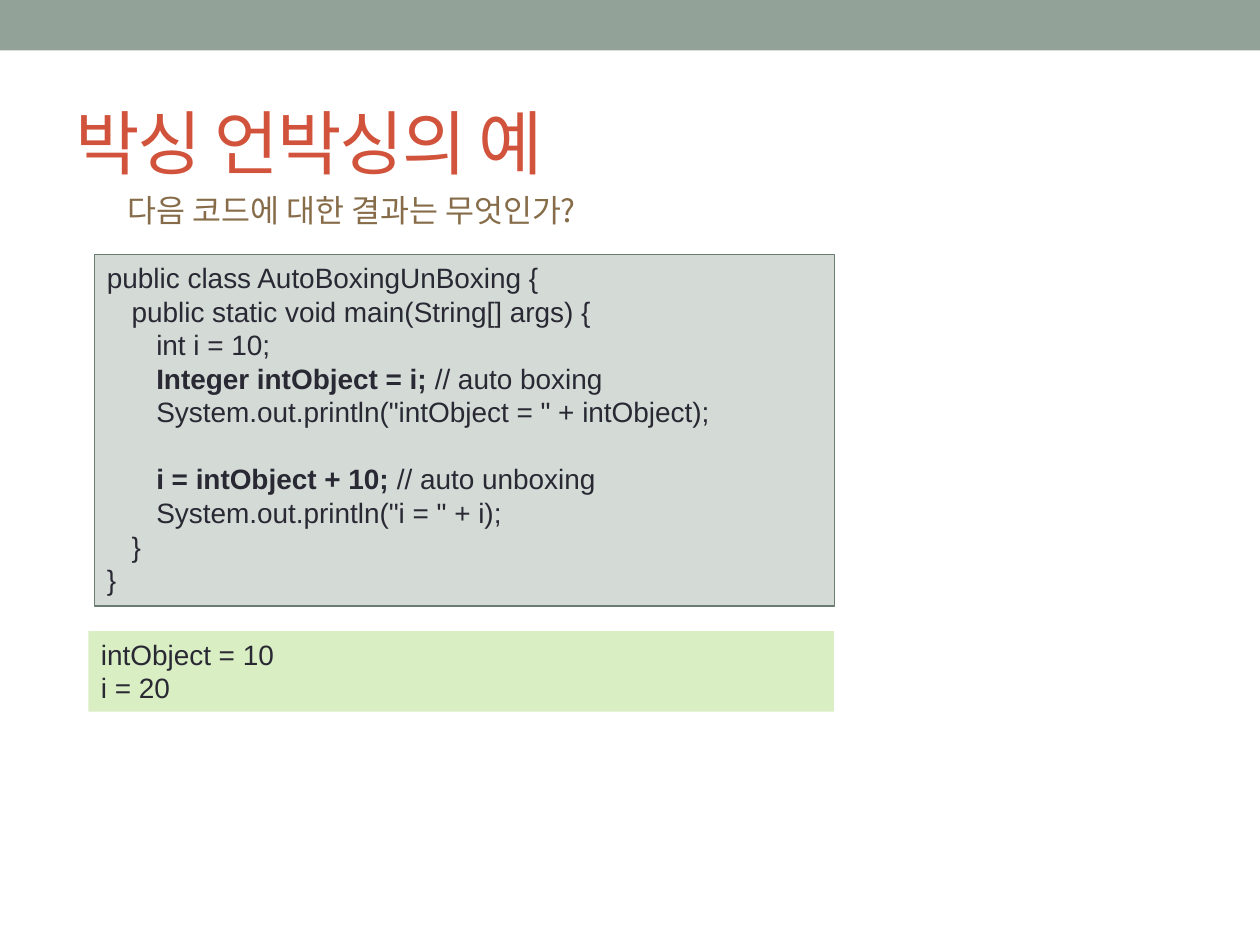
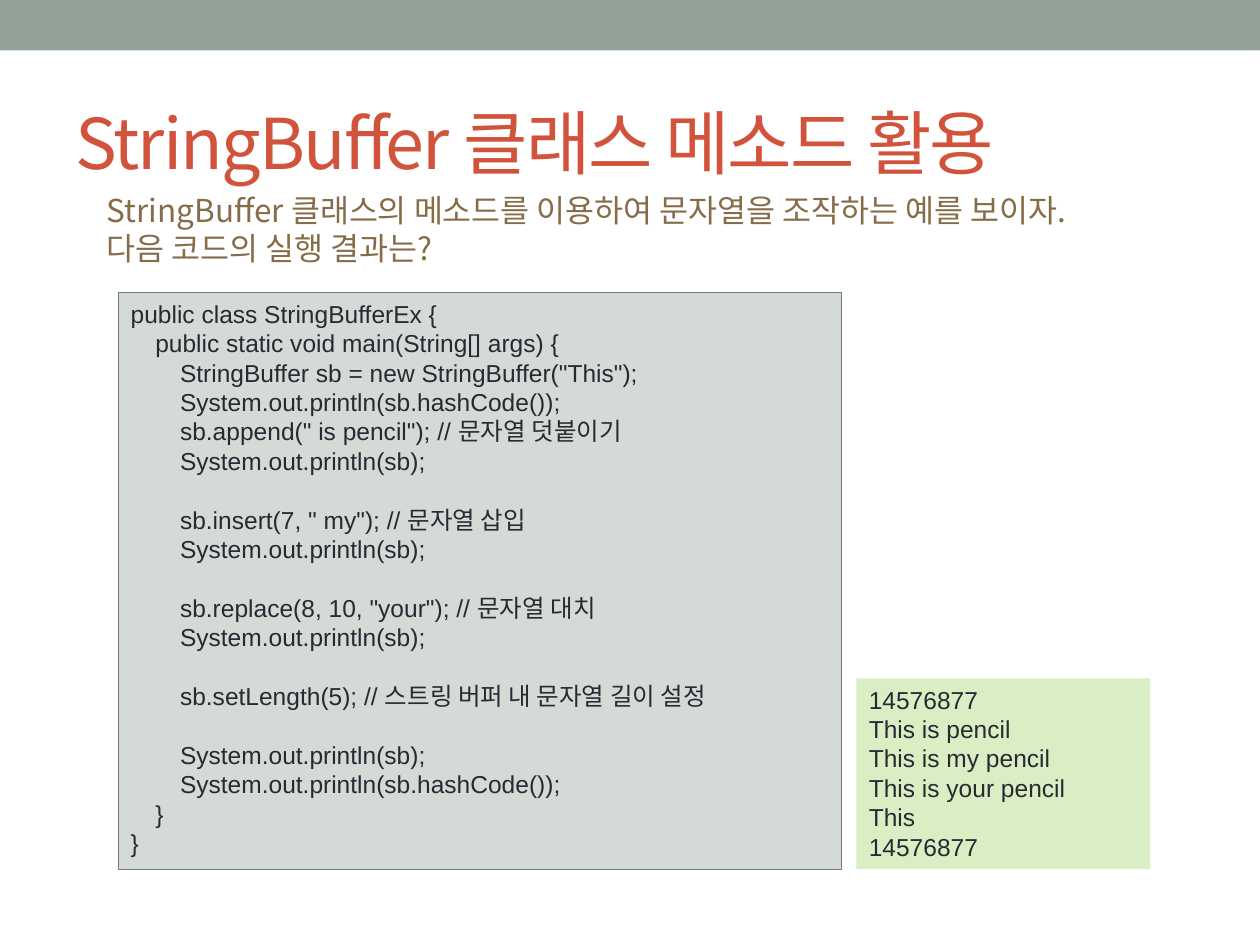
from dataclasses import dataclass

from lxml.etree import SubElement
from pptx import Presentation
from pptx.dml.color import RGBColor
from pptx.enum.shapes import MSO_SHAPE
from pptx.enum.text import MSO_ANCHOR, PP_ALIGN
from pptx.oxml.ns import qn
from pptx.shapes.autoshape import Shape
from pptx.slide import Slide
from pptx.util import Pt


@dataclass(frozen=True)
class Theme:
    band: str = "93A299"
    title: str = "D2533C"
    question: str = "866C49"
    ink: str = "292934"
    code_fill: str = "D4DAD6"
    code_line: str = "6B7D72"
    output_fill: str = "DAEEC4"
    latin: str = "Arial"
    korean: str = "Noto Sans CJK KR"
    title_size: int = 40
    question_size: int = 18
    leading: float = 1.2
    code_indent: float = 14.1


THEME = Theme()


@dataclass(frozen=True)
class Box:
    left: float
    top: float
    width: float
    height: float


@dataclass(frozen=True)
class TextStyle:
    font: str
    size: int
    color: str
    leading: float | None = THEME.leading
    tracking: int = 0


@dataclass(frozen=True)
class Line:
    text: str
    level: int = 0
    bold: str = ""
    gap: bool = False


@dataclass(frozen=True)
class Panel:
    box: Box
    fill: str
    lines: list[Line]
    border: str | None = None


@dataclass(frozen=True)
class Example:
    title: str
    question_box: Box
    question: list[Line]
    code_size: int
    panels: list[Panel]


BAND_BOX = Box(0, 0, 720, 28.8)
TITLE_BOX = Box(36, 41.8, 648, 77.8)
TITLE_STYLE = TextStyle(THEME.korean, THEME.title_size, THEME.title, None, -100)
QUESTION_STYLE = TextStyle(THEME.korean, THEME.question_size, THEME.question)

EXAMPLES = [
    Example(
        "박싱 언박싱의 예",
        Box(65.5, 105.8, 301, 28.8),
        [Line("다음 코드에 대한 결과는 무엇인가?")],
        16,
        [
            Panel(Box(54, 145.3, 422.8, 201), THEME.code_fill, [
                Line("public class AutoBoxingUnBoxing {"),
                Line("public static void main(String[] args) {", 1),
                Line("int i = 10;", 2),
                Line("// auto boxing", 2, bold="Integer intObject = i; "),
                Line('System.out.println("intObject = " + intObject);', 2),
                Line("// auto unboxing", 2, bold="i = intObject + 10; ", gap=True),
                Line('System.out.println("i = " + i);', 2),
                Line("}", 1),
                Line("}"),
            ], THEME.code_line),
            Panel(Box(50.6, 360.6, 426, 46), THEME.output_fill, [
                Line("intObject = 10"),
                Line("i = 20"),
            ]),
        ],
    ),
    Example(
        "StringBuffer 클래스 메소드 활용",
        Box(54, 105.8, 603.4, 51),
        [
            Line("StringBuffer 클래스의 메소드를 이용하여 문자열을 조작하는 예를 보이자."),
            Line("다음 코드의 실행 결과는?"),
        ],
        14,
        [
            Panel(Box(67.6, 167.2, 413.4, 329.6), THEME.code_fill, [
                Line("public class StringBufferEx {"),
                Line("public static void main(String[] args) {", 1),
                Line('StringBuffer sb = new StringBuffer("This");', 2),
                Line("System.out.println(sb.hashCode());", 2),
                Line('sb.append(" is pencil"); // 문자열 덧붙이기', 2),
                Line("System.out.println(sb);", 2),
                Line('sb.insert(7, " my"); // 문자열 삽입', 2, gap=True),
                Line("System.out.println(sb);", 2),
                Line('sb.replace(8, 10, "your"); // 문자열 대치', 2, gap=True),
                Line("System.out.println(sb);", 2),
                Line("sb.setLength(5); // 스트링 버퍼 내 문자열 길이 설정", 2, gap=True),
                Line("System.out.println(sb);", 2, gap=True),
                Line("System.out.println(sb.hashCode());", 2),
                Line("}", 1),
                Line("}"),
            ], THEME.code_line),
            Panel(Box(489.4, 387.6, 167.8, 109), THEME.output_fill, [
                Line("14576877"),
                Line("This is pencil"),
                Line("This is my pencil"),
                Line("This is your pencil"),
                Line("This"),
                Line("14576877"),
            ]),
        ],
    ),
]


def apply_format(target: object, values: dict[str, object]) -> None:
    for name, value in values.items():
        setattr(target, name, value)


def lengths(box: Box) -> tuple[Pt, Pt, Pt, Pt]:
    return Pt(box.left), Pt(box.top), Pt(box.width), Pt(box.height)


def add_run(paragraph, text: str, style: TextStyle, bold: bool = False) -> None:
    run = paragraph.add_run()
    run.text = text
    apply_format(run.font, {"name": style.font, "size": Pt(style.size), "bold": bold})
    run.font.color.rgb = RGBColor.from_string(style.color)
    properties = run._r.get_or_add_rPr()
    SubElement(properties, qn("a:ea")).set("typeface", THEME.korean)
    if style.tracking:
        properties.set("spc", str(style.tracking))


def write_lines(shape: Shape, lines: list[Line], style: TextStyle,
                anchor: MSO_ANCHOR = MSO_ANCHOR.TOP) -> None:
    frame = shape.text_frame
    apply_format(frame, {"word_wrap": True, "vertical_anchor": anchor})
    for index, line in enumerate(lines):
        paragraph = frame.add_paragraph() if index else frame.paragraphs[0]
        paragraph.alignment = PP_ALIGN.LEFT
        if style.leading:
            line_height = Pt(style.size * style.leading)
            apply_format(paragraph, {
                "line_spacing": line_height,
                "space_before": line_height if line.gap else Pt(0),
            })
        if line.level:
            indent = Pt(line.level * THEME.code_indent)
            paragraph._p.get_or_add_pPr().set("marL", str(indent))
        if line.bold:
            add_run(paragraph, line.bold, style, True)
        add_run(paragraph, line.text, style)


def add_rectangle(slide: Slide, box: Box, fill: str, border: str | None = None) -> Shape:
    shape = slide.shapes.add_shape(MSO_SHAPE.RECTANGLE, *lengths(box))
    shape.shadow.inherit = False
    shape.fill.solid()
    shape.fill.fore_color.rgb = RGBColor.from_string(fill)
    if border:
        shape.line.color.rgb = RGBColor.from_string(border)
        shape.line.width = Pt(0.75)
    else:
        shape.line.fill.background()
    return shape


def add_example(presentation, example: Example) -> None:
    slide = presentation.slides.add_slide(presentation.slide_layouts[6])
    add_rectangle(slide, BAND_BOX, THEME.band)
    title = slide.shapes.add_textbox(*lengths(TITLE_BOX))
    write_lines(title, [Line(example.title)], TITLE_STYLE, MSO_ANCHOR.MIDDLE)
    question = slide.shapes.add_textbox(*lengths(example.question_box))
    write_lines(question, example.question, QUESTION_STYLE)
    code_style = TextStyle(THEME.latin, example.code_size, THEME.ink)
    for panel in example.panels:
        shape = add_rectangle(slide, panel.box, panel.fill, panel.border)
        write_lines(shape, panel.lines, code_style)


def main() -> None:
    presentation = Presentation()
    apply_format(presentation, {"slide_width": Pt(720), "slide_height": Pt(540)})
    for example in EXAMPLES:
        add_example(presentation, example)
    presentation.save("out.pptx")


if __name__ == "__main__":
    main()
